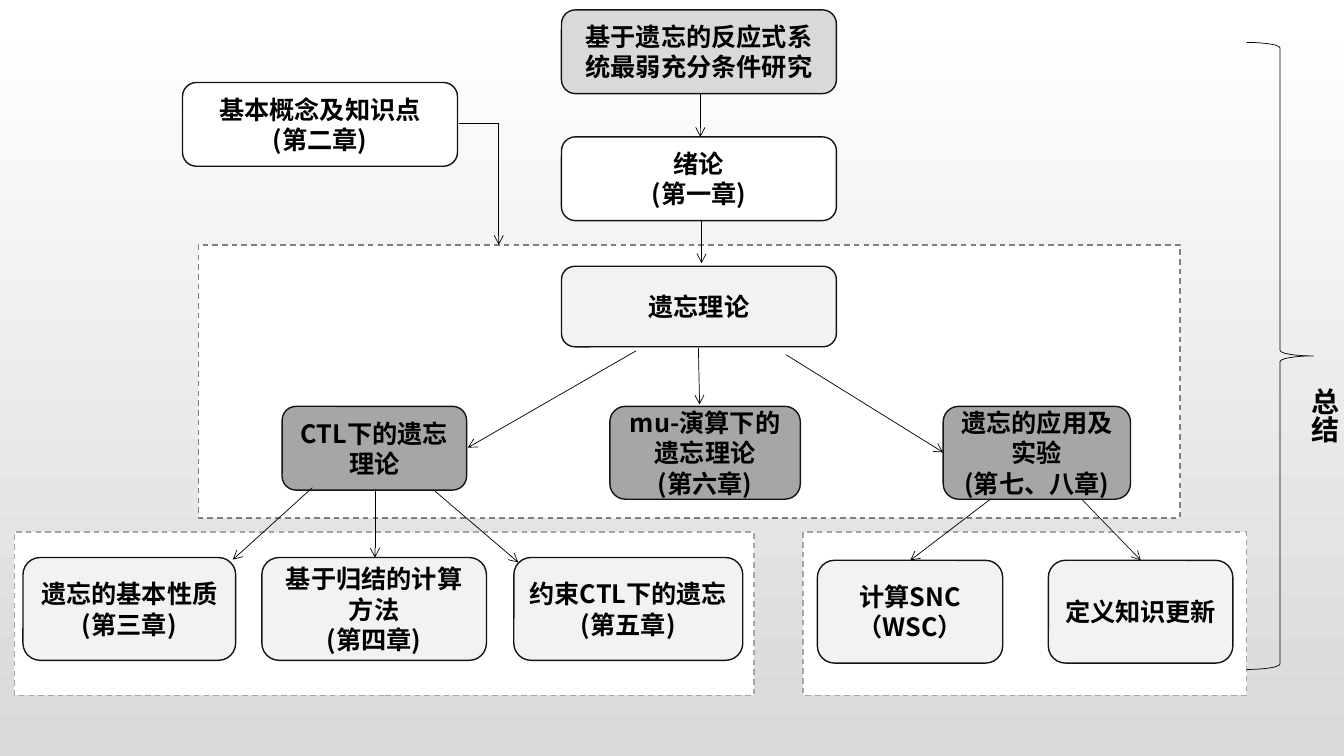
from dataclasses import dataclass

from lxml import etree
from pptx import Presentation, util as u
from pptx.dml.color import RGBColor
from pptx.enum import dml, shapes as sh, text as t
from pptx.oxml.ns import qn

FONT = "Noto Sans CJK SC"
BLACK, NAVY, WHITE = "000000", "0F1423", "FFFFFF"
PALE, LIGHT, MID, GREY = "F2F2F2", "D9D9D9", "A6A6A6", "808080"


@dataclass
class Area:
    x: float
    y: float
    w: float
    h: float


@dataclass
class Frame:
    area: Area
    edge: str


@dataclass
class Node:
    area: Area
    fill: str
    lines: list[str]


@dataclass
class Arrow:
    x1: float
    y1: float
    x2: float
    y2: float
    tone: str = BLACK
    bent: bool = False


FRAMES = [
    Frame(Area(20.24, 13.41, 11.18, 4.11), MID),
    Frame(Area(0.36, 13.41, 18.64, 4.11), MID),
    Frame(Area(5, 6.17, 24.74, 6.88), GREY),
]
NODES = [
    Node(Area(14.15, 0.25, 6.93, 2.11), LIGHT, ["基于遗忘的反应式系统最弱充分条件研究"]),
    Node(Area(14.15, 3.45, 6.93, 2.11), WHITE, ["绪论", "(第一章)"]),
    Node(Area(14.15, 6.71, 6.93, 2.03), PALE, ["遗忘理论"]),
    Node(Area(7.11, 10.24, 4.65, 2.11), MID, ["CTL下的遗忘理论"]),
    Node(Area(15.37, 10.24, 4.8, 2.34), MID, ["mu-演算下的遗忘理论", "(第六章)"]),
    Node(Area(23.77, 10.24, 4.72, 2.34), MID, ["遗忘的应用及实验", "(第七、八章)"]),
    Node(Area(0.58, 14.05, 5.36, 2.59), PALE, ["遗忘的基本性质", "(第三章)"]),
    Node(Area(6.6, 14.05, 5.66, 2.59), PALE, ["基于归结的计算方法", "(第四章)"]),
    Node(Area(12.95, 14.05, 5.77, 2.59), PALE, ["约束CTL下的遗忘", "(第五章)"]),
    Node(Area(20.6, 14.12, 4.67, 2.59), PALE, ["计算SNC（WSC）"]),
    Node(Area(26.42, 14.12, 4.65, 2.59), PALE, ["定义知识更新"]),
    Node(Area(4.6, 2.08, 6.93, 2.11), WHITE, ["基本概念及知识点", "(第二章)"]),
]
ARROWS = [
    Arrow(17.65, 2.36, 17.65, 3.45),
    Arrow(17.68, 5.54, 17.68, 6.63),
    Arrow(17.6, 8.76, 17.63, 10.19),
    Arrow(16.03, 8.84, 11.79, 11.28),
    Arrow(19.81, 8.94, 23.77, 11.4),
    Arrow(7.87, 12.29, 5.87, 14.1),
    Arrow(9.45, 12.32, 9.45, 14.05),
    Arrow(10.92, 12.34, 13.06, 14.17),
    Arrow(24.97, 12.57, 22.94, 14.12),
    Arrow(27.28, 12.6, 28.75, 14.12, NAVY),
    Arrow(11.56, 3.12, 12.57, 6.17, bent=True),
]


def paint(color, code: str) -> None:
    color.rgb = RGBColor.from_string(code)


def place(area: Area) -> list[u.Cm]:
    return [u.Cm(v) for v in (area.x, area.y, area.w, area.h)]


def add_form(slide, kind, area: Area, fill: str | None, edge: str, width: float):
    form = slide.shapes.add_shape(kind, *place(area))
    form.shadow.inherit = False
    if fill:
        form.fill.solid()
        paint(form.fill.fore_color, fill)
    else:
        form.fill.background()
    paint(form.line.color, edge)
    form.line.width = u.Pt(width)
    return form


def write(form, lines: list[str], size: int, align, pitch: float | None = None) -> None:
    frame = form.text_frame
    frame.word_wrap = True
    frame.text = "\n".join(lines)
    for par in frame.paragraphs:
        par.alignment = align
        if pitch:
            par.line_spacing = u.Pt(pitch)
        par.font.name = FONT
        par.font.size = u.Pt(size)
        par.font.bold = True
        paint(par.font.color, BLACK)
    for latin in list(form.element.iter(qn("a:latin"))):
        east = etree.Element(qn("a:ea"), typeface=FONT)
        latin.addnext(east)


def add_frame(slide, frame: Frame) -> None:
    form = add_form(slide, sh.MSO_SHAPE.RECTANGLE, frame.area, WHITE, frame.edge, 1)
    form.line.dash_style = dml.MSO_LINE.DASH


def add_node(slide, node: Node) -> None:
    kind = sh.MSO_SHAPE.FLOWCHART_ALTERNATE_PROCESS
    form = add_form(slide, kind, node.area, node.fill, NAVY, 1)
    write(form, node.lines, 18, t.PP_ALIGN.CENTER, 21.6)
    form.text_frame.vertical_anchor = t.MSO_ANCHOR.MIDDLE


def add_arrow(slide, arrow: Arrow) -> None:
    kind = sh.MSO_CONNECTOR.ELBOW if arrow.bent else sh.MSO_CONNECTOR.STRAIGHT
    ends = [u.Cm(v) for v in (arrow.x1, arrow.y1, arrow.x2, arrow.y2)]
    link = slide.shapes.add_connector(kind, *ends)
    paint(link.line.color, arrow.tone)
    link.line.width = u.Pt(0.5)
    props = link.element.spPr
    etree.SubElement(props.find(qn("a:ln")), qn("a:tailEnd"), type="arrow")
    etree.SubElement(props, qn("a:effectLst"))
    if arrow.bent:
        props.find(qn("a:prstGeom")).set("prst", "bentConnector2")


def add_label(slide, area: Area, words: str) -> None:
    label = slide.shapes.add_textbox(*place(area))
    write(label, [words], 20, t.PP_ALIGN.LEFT)
    label.text_frame.auto_size = t.MSO_AUTO_SIZE.SHAPE_TO_FIT_TEXT
    next(label.element.iter(qn("a:bodyPr"))).set("vert", "eaVert")


def shade(slide) -> None:
    fill = slide.background.fill
    fill.gradient()
    fill.gradient_angle = 270
    for stop, code in zip(fill.gradient_stops, (WHITE, LIGHT)):
        paint(stop.color, code)


def main() -> None:
    deck = Presentation()
    deck.slide_width, deck.slide_height = u.Cm(33.87), u.Cm(19.05)
    slide = deck.slides.add_slide(deck.slide_layouts[6])
    shade(slide)
    for frame in FRAMES:
        add_frame(slide, frame)
    for node in NODES:
        add_node(slide, node)
    for arrow in ARROWS:
        add_arrow(slide, arrow)
    brace = Area(31.42, 1.07, 1.68, 15.8)
    add_form(slide, sh.MSO_SHAPE.RIGHT_BRACE, brace, None, BLACK, 0.5)
    add_label(slide, Area(32.56, 9.53, 1.37, 1.96), "总结")
    deck.save("out.pptx")


if __name__ == "__main__":
    main()
